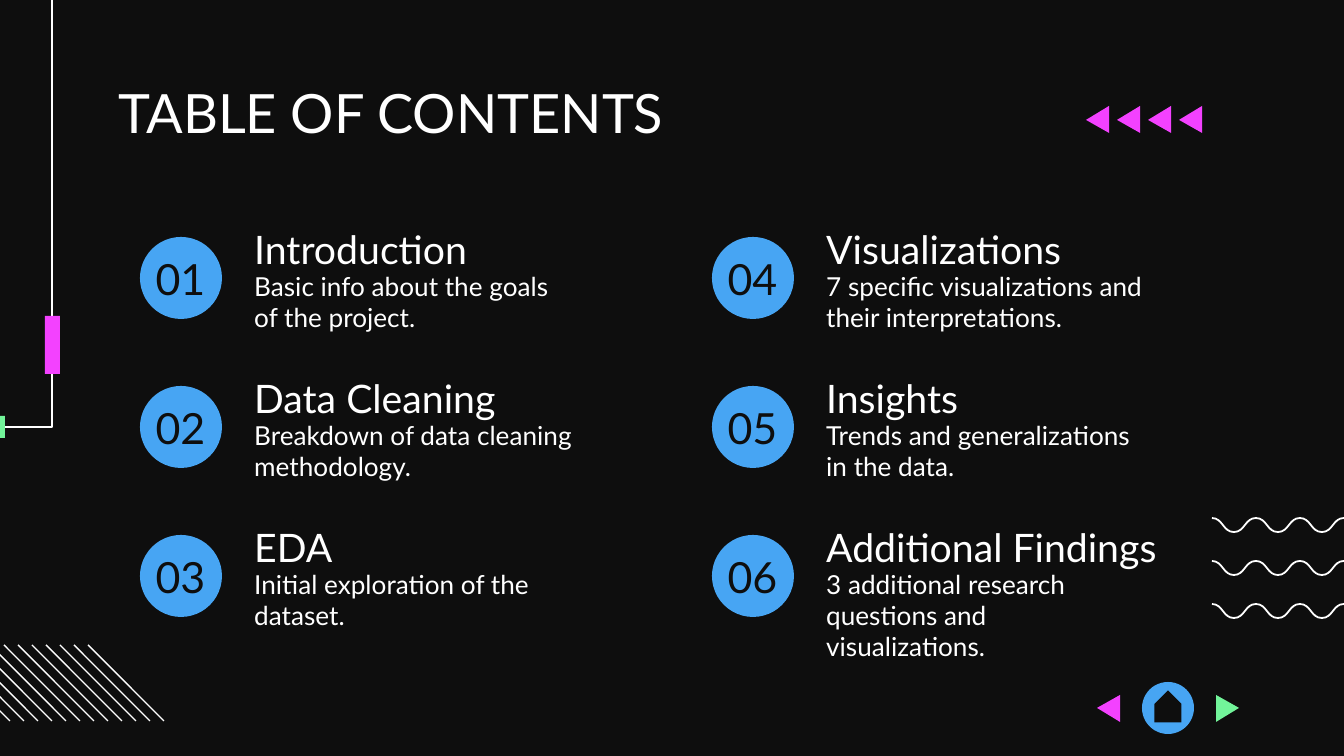
from dataclasses import dataclass

from lxml.etree import SubElement
from pptx import Presentation
from pptx.dml.color import RGBColor
from pptx.enum.shapes import MSO_CONNECTOR as Connector, MSO_SHAPE as Preset
from pptx.enum.text import MSO_ANCHOR as Anchor, PP_ALIGN as Align
from pptx.oxml.ns import qn
from pptx.util import Pt

EMU_PER_PX = 914400 / 134.4


@dataclass(frozen=True)
class Theme:
    font: str = "Lato"
    dark: str = "0E0E0E"
    white: str = "FFFFFF"
    blue: str = "47A5F3"
    pink: str = "F341FF"
    green: str = "72F49A"
    title: int = 29
    number: int = 23
    heading: int = 21
    body: int = 14
    thin: float = 0.75
    wave: float = 0.95


THEME = Theme()

COLUMNS = [
    [
        ("01", "Introduction", "Basic info about the goals of the project."),
        ("02", "Data Cleaning", "Breakdown of data cleaning methodology."),
        ("03", "EDA", "Initial exploration of the dataset."),
    ],
    [
        ("04", "Visualizations", "7 specific visualizations and their interpretations."),
        ("05", "Insights", "Trends and generalizations in the data."),
        ("06", "Additional Findings", "3 additional research questions and visualizations."),
    ],
]
COLUMN_PITCH, ROW_PITCH = 572, 149


def px(value):
    return round(value * EMU_PER_PX)


def rgb(color):
    return RGBColor.from_string(color)


def paint(shape, color):
    shape.shadow.inherit = False
    shape.fill.solid()
    shape.fill.fore_color.rgb = rgb(color)
    shape.line.fill.background()


def add_preset(slide, preset, left, top, width, height, color):
    shape = slide.shapes.add_shape(preset, px(left), px(top), px(width), px(height))
    paint(shape, color)
    return shape


def add_outline(slide, points, closed):
    builder = slide.shapes.build_freeform(*points[0], scale=EMU_PER_PX)
    builder.add_line_segments(points[1:], close=closed)
    return builder.convert_to_shape()


def add_open_line(slide, points, weight):
    shape = add_outline(slide, points, closed=False)
    shape.shadow.inherit = False
    shape.fill.background()
    shape.line.color.rgb = rgb(THEME.white)
    shape.line.width = Pt(weight)
    return shape


def add_triangle(slide, left, top, color, points_left=True):
    """Draw a small sideways arrow."""
    width, height = 23, 27
    base, tip = (left + width, left) if points_left else (left, left + width)
    points = [(base, top), (tip, top + height / 2), (base, top + height)]
    paint(add_outline(slide, points, closed=True), color)


def add_wave(slide, left, top):
    """Join crests and troughs, then bend each segment into an S-curve."""
    step, height, halves = 22, 14, 7
    nodes = [(left + step * i, top + height * (i % 2)) for i in range(halves + 1)]
    shape = add_open_line(slide, nodes, THEME.wave)
    path = next(shape.element.iter(qn("a:path")))
    path.set("fill", "none")
    start = path[0][0]
    for segment in path.findall(qn("a:lnTo")):
        end = segment[0]
        middle = str((int(start.get("x")) + int(end.get("x"))) // 2)
        curve = SubElement(path, qn("a:cubicBezTo"))
        for anchor in (start, end):
            SubElement(curve, qn("a:pt"), x=middle, y=anchor.get("y"))
        curve.append(end)
        path.remove(segment)
        start = end


def add_stripe(slide, left, top, length):
    line = slide.shapes.add_connector(
        Connector.STRAIGHT, px(left), px(top), px(left + length), px(top + length))
    line.line.color.rgb = rgb(THEME.white)
    line.line.width = Pt(THEME.thin)
    SubElement(line.element.spPr, qn("a:effectLst"))


def add_text(slide, text, left, top, width, height, size, color=THEME.white,
             align=Align.LEFT, inset_top=0, spacing=1.0):
    frame = slide.shapes.add_textbox(px(left), px(top), px(width), px(height)).text_frame
    frame.word_wrap = True
    frame.vertical_anchor = Anchor.TOP
    frame.margin_top = px(inset_top)
    frame.margin_left = frame.margin_right = frame.margin_bottom = px(13.44)
    paragraph = frame.paragraphs[0]
    paragraph.alignment = align
    paragraph.line_spacing = spacing
    run = paragraph.add_run()
    run.text = text
    run.font.name = THEME.font
    run.font.size = Pt(size)
    run.font.color.rgb = rgb(color)


def add_entry(slide, left, top, number, heading, body):
    """Add a numbered circle with its heading and description."""
    add_preset(slide, Preset.OVAL, left + 20, top + 19, 82, 82, THEME.blue)
    add_text(slide, number, left, top + 8, 121, 82, THEME.number,
             THEME.dark, Align.CENTER, inset_top=27)
    add_text(slide, heading, left + 121, top, 425, 52, THEME.heading, spacing=1.15)
    add_text(slide, body, left + 121, top + 52, 345, 81, THEME.body)


def add_decoration(slide):
    for row in range(3):
        add_wave(slide, 1212, 518 + 43 * row)
    for index in range(12):
        add_stripe(slide, -66 + 14 * index, 645, 76)
    # Corner line with its two markers
    add_open_line(slide, [(-528, 427), (52, 427), (52, -29)], THEME.thin)
    add_preset(slide, Preset.RECTANGLE, -16, 416, 21, 22, THEME.green)
    add_preset(slide, Preset.RECTANGLE, 45, 316, 15, 58, THEME.pink)
    # Arrow row beside the title
    for index in range(4):
        add_triangle(slide, 1086 + 31 * index, 106, THEME.pink)


def add_navigation(slide):
    add_preset(slide, Preset.OVAL, 1142, 682, 52, 52, THEME.blue)
    home = add_preset(slide, Preset.PENTAGON, 1152, 693, 32, 27, THEME.dark)
    home.rotation = 270
    add_triangle(slide, 1097, 695, THEME.pink)
    add_triangle(slide, 1216, 695, THEME.green, points_left=False)


def main():
    presentation = Presentation()
    presentation.slide_width, presentation.slide_height = px(1344), px(756)
    slide = presentation.slides.add_slide(presentation.slide_layouts[6])
    slide.background.fill.solid()
    slide.background.fill.fore_color.rgb = rgb(THEME.dark)

    add_decoration(slide)
    add_text(slide, "TABLE OF CONTENTS", 105, 79, 1134, 62, THEME.title)
    # Contents in two columns
    for column, entries in enumerate(COLUMNS):
        for row, entry in enumerate(entries):
            add_entry(slide, 120 + COLUMN_PITCH * column, 218 + ROW_PITCH * row, *entry)
    add_navigation(slide)

    presentation.save("out.pptx")


if __name__ == "__main__":
    main()
